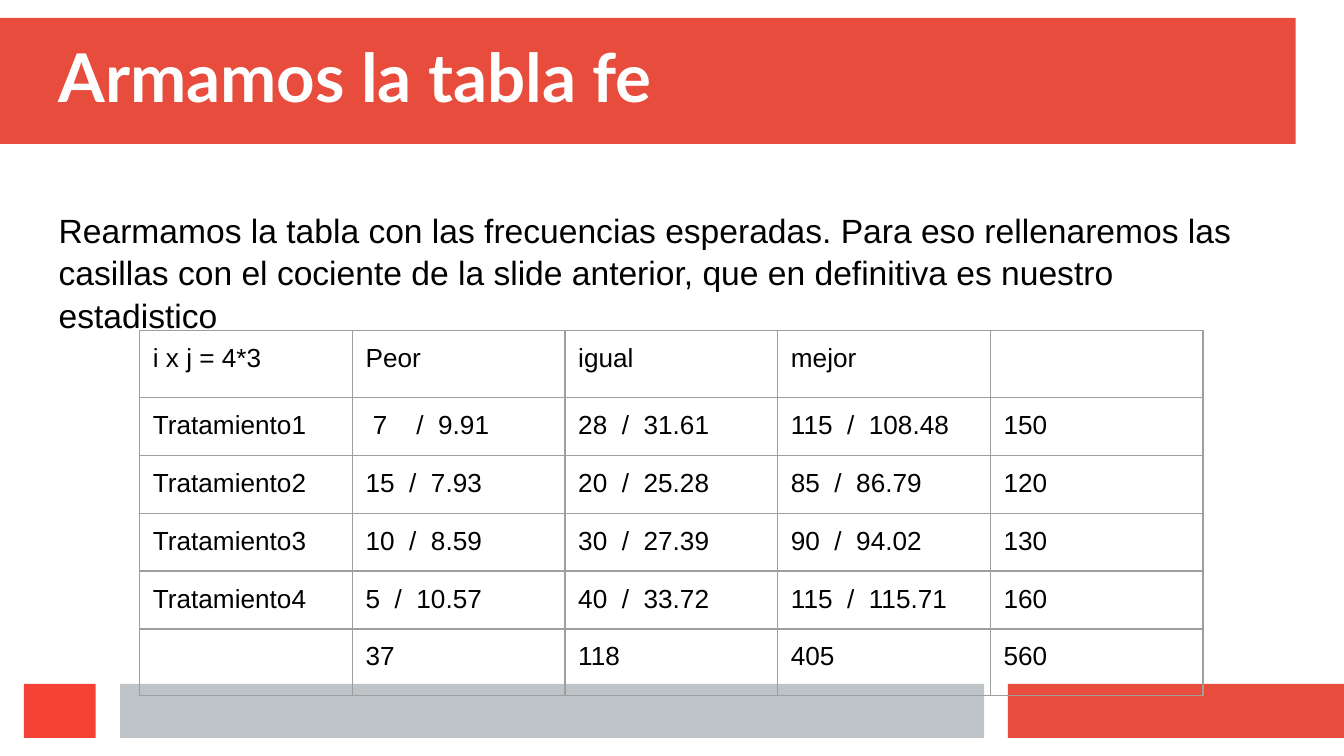
"""Build the slide with the table of observed and expected frequencies."""
from lxml import etree
from pptx import Presentation
from pptx.dml.color import RGBColor
from pptx.enum.shapes import MSO_SHAPE
from pptx.enum.text import MSO_ANCHOR
from pptx.oxml.ns import qn
from pptx.util import Cm, Pt

RECTANGLE = MSO_SHAPE.RECTANGLE
TOP, BOTTOM = MSO_ANCHOR.TOP, MSO_ANCHOR.BOTTOM
RED = RGBColor(0xE7, 0x4C, 0x3C)
BRIGHT_RED = RGBColor(0xF4, 0x43, 0x36)
GREY = RGBColor(0xBD, 0xC3, 0xC7)
WHITE = RGBColor(0xFF, 0xFF, 0xFF)
BLACK = RGBColor(0x00, 0x00, 0x00)
BORDER_GREY = RGBColor(0x9E, 0x9E, 0x9E)


def add_run(paragraph, text, font_name, size, color, bold=False):
    run = paragraph.add_run()
    run.text = text
    run.font.name = font_name
    run.font.size = Pt(size)
    run.font.color.rgb = color
    run.font.bold = bold


def set_borders(cell):
    properties = cell._tc.get_or_add_tcPr()
    for position, side in enumerate(("a:lnL", "a:lnR", "a:lnT", "a:lnB")):
        line = etree.Element(qn(side), w=str(Pt(0.75)))
        fill = etree.SubElement(line, qn("a:solidFill"))
        etree.SubElement(fill, qn("a:srgbClr"), val=str(BORDER_GREY))
        properties.insert(position, line)


presentation = Presentation()
presentation.slide_width = Cm(25.4)
presentation.slide_height = Cm(14.29)
slide = presentation.slides.add_slide(presentation.slide_layouts[6])

bands = [
    (0, 0.34, 24.49, 2.38, RED),
    (19.05, 12.93, 6.35, 1.02, RED),
    (2.27, 12.93, 16.33, 1.02, GREY),
    (0.45, 12.93, 1.36, 1.02, BRIGHT_RED),
]
for left, top, width, height, color in bands:
    band = slide.shapes.add_shape(RECTANGLE, Cm(left), Cm(top), Cm(width), Cm(height))
    band.shadow.inherit = False
    band.fill.solid()
    band.fill.fore_color.rgb = color
    band.line.fill.background()

texts = [
    ("Armamos la tabla fe", 0.69, 23.6, 1.7, BOTTOM, 1, "Lato", 36, WHITE, True),
    ("Rearmamos la tabla con las frecuencias esperadas. Para eso rellenaremos las "
     "casillas con el cociente de la slide anterior, que en definitiva es nuestro "
     "estadistico", 3.73, 23.14, 8.84, TOP, 1.05, "Arial", 18, BLACK, False),
]
for text, top, width, height, anchor, spacing, font_name, size, color, bold in texts:
    text_box = slide.shapes.add_textbox(Cm(0.91), Cm(top), Cm(width), Cm(height))
    frame = text_box.text_frame
    frame.word_wrap = True
    frame.vertical_anchor = anchor
    frame.margin_left = frame.margin_right = Cm(0.2)
    frame.margin_top = frame.margin_bottom = Cm(0.2)
    paragraph = frame.paragraphs[0]
    paragraph.line_spacing = spacing
    add_run(paragraph, text, font_name, size, color, bold)

frequencies = [
    ["i x j = 4*3", "Peor", "igual", "mejor", ""],
    ["Tratamiento1", " 7    /  9.91", "28  /  31.61", "115  /  108.48", "150"],
    ["Tratamiento2", "15  /  7.93", "20  /  25.28", "85  /  86.79", "120"],
    ["Tratamiento3", "10  /  8.59", "30  /  27.39", "90  /  94.02", "130"],
    ["Tratamiento4", "5  /  10.57", "40  /  33.72", "115  /  115.71", "160"],
    ["", "37", "118", "405", "560"],
]
row_heights = [1.21, 1.06, 1.06, 1.06, 1.06, 1.21]
table = slide.shapes.add_table(
    len(frequencies), len(frequencies[0]),
    Cm(2.64), Cm(6.25), Cm(20.1), Cm(sum(row_heights))).table
table.first_row = False
table.horz_banding = False
for column in table.columns:
    column.width = Cm(4.02)
for row, height, values in zip(table.rows, row_heights, frequencies):
    row.height = Cm(height)
    for cell, value in zip(row.cells, values):
        cell.fill.background()
        set_borders(cell)
        cell.margin_left = cell.margin_right = Cm(0.25)
        cell.margin_top = cell.margin_bottom = Cm(0.25)
        add_run(cell.text_frame.paragraphs[0], value, "Arial", 14, BLACK)

presentation.save("out.pptx")
